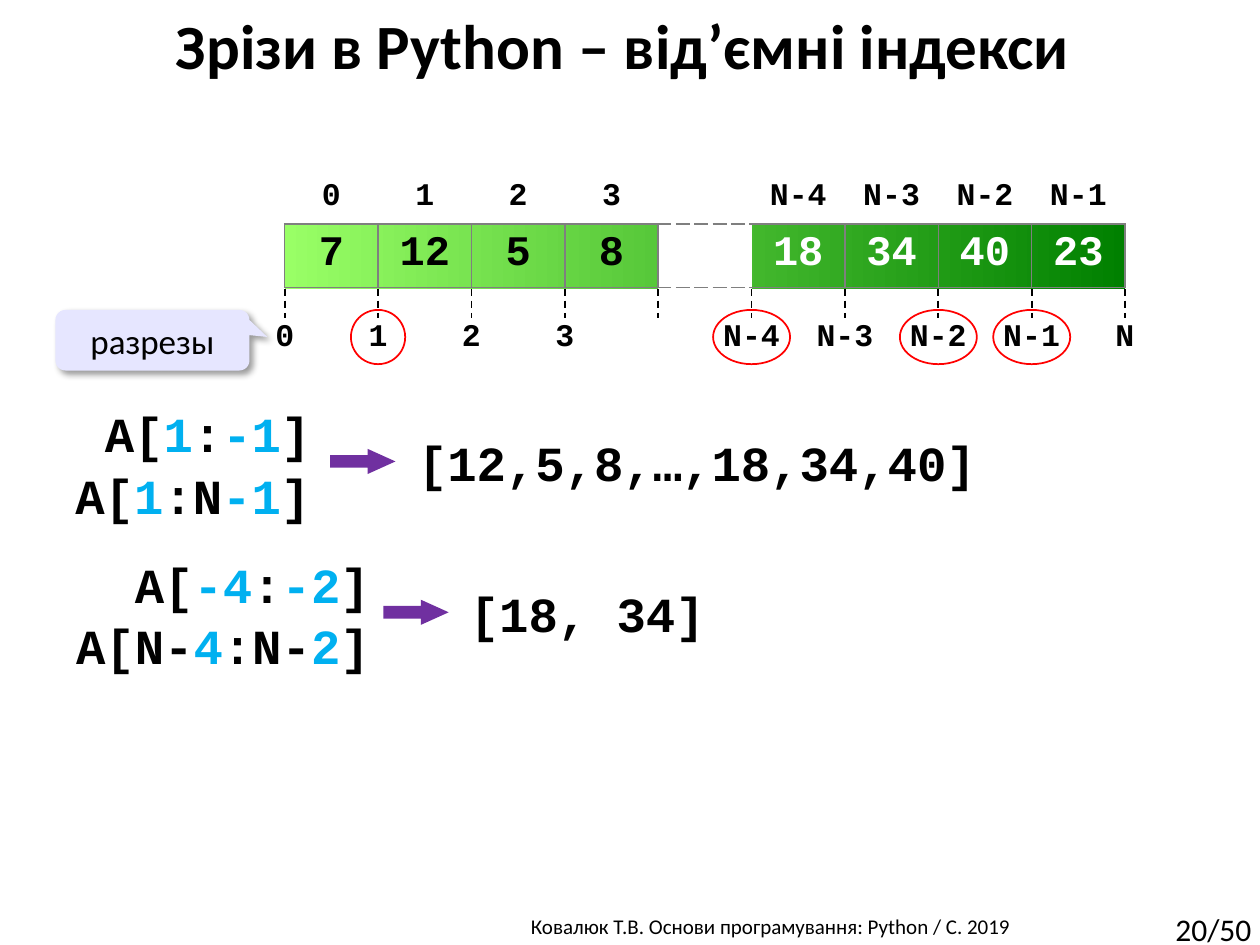
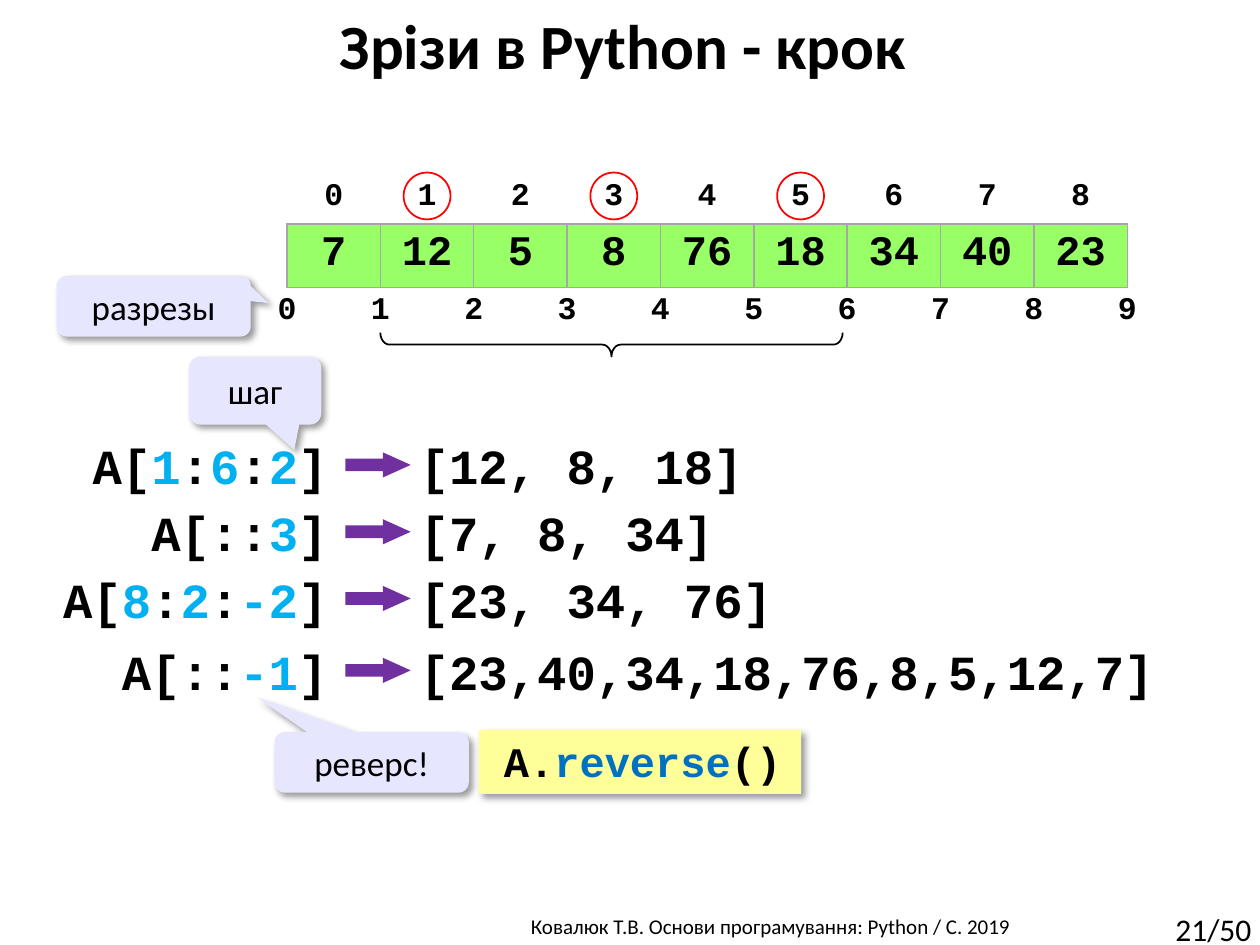
from lxml import etree
from pptx import Presentation
from pptx.dml.color import RGBColor
from pptx.enum.dml import MSO_LINE
from pptx.enum.shapes import MSO_CONNECTOR, MSO_SHAPE
from pptx.enum.text import MSO_ANCHOR, PP_ALIGN
from pptx.oxml.ns import qn
from pptx.util import Pt

BLACK, WHITE, RED = "000000", "FFFFFF", "FF0000"
BLUE, DEEP_BLUE, PURPLE = "00B0F0", "0070C0", "7030A0"
LIME, GREEN, LILAC, YELLOW = "99FF66", "008000", "E6E6FF", "FFFF99"
SANS, MONO = "Calibri", "Courier New"
NO_TABLE_STYLE = "{2D5ABB26-0587-4C30-8999-92F81FD0307C}"
CELL, INDEX_HEIGHT, VALUE_HEIGHT = 53.36, 29.4, 36.3
CHARACTER, INSET = 16.8, 7.2
FOOTER = "Ковалюк Т.В. Основи програмування: Python / C. 2019"


def color(value):
    """Turn a hex string into a colour."""
    return RGBColor.from_string(value)


def write(frame, text, size, font=SANS, bold=False, align=PP_ALIGN.LEFT,
          ink=BLACK, accent=BLUE):
    """Write one paragraph; parts between asterisks take the accent colour."""
    paragraph = frame.paragraphs[0]
    paragraph.alignment = align
    for number, part in enumerate(text.split("*")):
        if part:
            run = paragraph.add_run()
            run.text = part
            run.font.name, run.font.size, run.font.bold = font, Pt(size), bold
            run.font.color.rgb = color(accent if number % 2 else ink)


def add_text(slide, box, text, size, wrap=True, **style):
    """Add a text box."""
    shape = slide.shapes.add_textbox(*map(Pt, box))
    shape.text_frame.word_wrap = wrap
    write(shape.text_frame, text, size, **style)


def add_shape(slide, kind, box, fill=None, line=None, adjustments=()):
    """Add a preset shape without a shadow."""
    shape = slide.shapes.add_shape(kind, *map(Pt, box))
    shape.shadow.inherit = False
    if fill:
        shape.fill.solid()
        shape.fill.fore_color.rgb = color(fill)
    else:
        shape.fill.background()
    if line:
        shape.line.color.rgb = color(line)
        shape.line.width = Pt(1)
    else:
        shape.line.fill.background()
    for number, value in enumerate(adjustments):
        shape.adjustments[number] = value
    return shape


def cast_shadow(shape):
    """Give a shape a soft shadow to the lower right."""
    effects = shape.element.spPr.find(qn("a:effectLst"))
    shadow = etree.SubElement(effects, qn("a:outerShdw"), blurRad=str(Pt(4)),
                              dist=str(Pt(3)), dir="2700000", algn="tl", rotWithShape="0")
    tint = etree.SubElement(shadow, qn("a:srgbClr"), val=BLACK)
    etree.SubElement(tint, qn("a:alpha"), val="40000")


def add_callout(slide, box, text, tip):
    """Add a lilac speech bubble whose tip lies at the given offset."""
    shape = add_shape(slide, MSO_SHAPE.ROUNDED_RECTANGULAR_CALLOUT, box, LILAC,
                      adjustments=(*tip, 0.167))
    cast_shadow(shape)
    shape.text_frame.word_wrap = True
    shape.text_frame.vertical_anchor = MSO_ANCHOR.MIDDLE
    write(shape.text_frame, text, 20, align=PP_ALIGN.CENTER)


def add_rings(slide, centers, middle, width, height):
    """Circle the items that lie on one line."""
    for center in centers:
        box = (center - width / 2, middle - height / 2, width, height)
        add_shape(slide, MSO_SHAPE.OVAL, box, line=RED)


def set_borders(cell, sides, tint, dash="solid"):
    """Draw the named sides of a cell."""
    properties = cell._tc.get_or_add_tcPr()
    for side in sides:
        line = etree.SubElement(properties, qn("a:ln" + side), w=str(Pt(1)))
        fill = etree.SubElement(line, qn("a:solidFill"))
        etree.SubElement(fill, qn("a:srgbClr"), val=tint)
        etree.SubElement(line, qn("a:prstDash"), val=dash)


def add_table(slide, left, top, heights, columns):
    """Add a plain table of equal columns."""
    frame = slide.shapes.add_table(len(heights), columns, Pt(left), Pt(top),
                                   Pt(CELL * columns), Pt(sum(heights)))
    frame.element.find(".//" + qn("a:tableStyleId")).text = NO_TABLE_STYLE
    table = frame.table
    table.first_row = table.horz_banding = False
    for column in table.columns:
        column.width = Pt(CELL)
    for row, height in zip(table.rows, heights):
        row.height = Pt(height)
    return table


def fill_cell(cell, text, size, ink=BLACK, fill=None):
    """Write centred code text in a cell and set its fill."""
    if fill:
        cell.fill.solid()
        cell.fill.fore_color.rgb = color(fill)
    else:
        cell.fill.background()
    if text:
        write(cell.text_frame, text, size, MONO, True, PP_ALIGN.CENTER, ink)


def add_array(slide, left, top, indexes, values, tint, fill=None, light_from=9):
    """Add an array with indexes above; an empty value is a dashed gap."""
    table = add_table(slide, left, top, (INDEX_HEIGHT, VALUE_HEIGHT), len(values))
    for column, (index, value) in enumerate(zip(indexes, values)):
        above, cell = table.cell(0, column), table.cell(1, column)
        dash = "solid" if value else "sysDash"
        sides = ["T", "B"]
        if value and "" not in values[column + 1:column + 2]:
            sides.insert(0, "R")
        if value and (column == 0 or values[column - 1]):
            sides.insert(0, "L")
        set_borders(above, "B", tint, dash)
        set_borders(cell, sides, tint, dash)
        fill_cell(above, index, 18)
        fill_cell(cell, value, 24, WHITE if column >= light_from else BLACK, fill)


def add_cuts(slide, left, top, labels):
    """Label the cuts between cells, each centred on a cell edge."""
    table = add_table(slide, left - CELL / 2, top, (INDEX_HEIGHT,), len(labels))
    for column, label in enumerate(labels):
        fill_cell(table.cell(0, column), label, 18)


def add_ticks(slide, left, top, count):
    """Drop a dashed tick from every cell edge."""
    for number in range(count):
        x = Pt(left + number * CELL)
        tick = slide.shapes.add_connector(MSO_CONNECTOR.STRAIGHT, x, Pt(top), x, Pt(top + 17))
        tick.line.color.rgb = color(BLACK)
        tick.line.width = Pt(1)
        tick.line.dash_style = MSO_LINE.DASH
        etree.SubElement(tick.element.spPr, qn("a:effectLst"))


def add_code(slide, left, top, text):
    """Add a line of code whose first letter starts at left."""
    width = CHARACTER * len(text.replace("*", "")) + 2 * INSET
    add_text(slide, (left - INSET, top, width, 41), text, 28, wrap=False, font=MONO, bold=True)


def add_expression(slide, right, top, text):
    """Add a line of code that ends at right."""
    add_code(slide, right - CHARACTER * len(text.replace("*", "")), top, text)


def add_result(slide, arrow_left, left, top, text):
    """Add an arrow and the list it leads to."""
    add_shape(slide, MSO_SHAPE.RIGHT_ARROW, (arrow_left, top + 13, 37.4, 14.4), PURPLE,
              adjustments=(0.5, 1.105))
    add_code(slide, left, top, text)


def add_frame(presentation, title, page):
    """Add a slide with its title, footer and page number."""
    slide = presentation.slides.add_slide(presentation.slide_layouts[6])
    add_text(slide, (0, 0, 712, 51), title, 36, bold=True, align=PP_ALIGN.CENTER)
    add_text(slide, (236.9, 518.4, 407, 21.6), FOOTER, 12, align=PP_ALIGN.CENTER)
    add_text(slide, (664.6, 516.2, 61, 29), page, 18, wrap=False)
    return slide


def add_negative_slide(presentation):
    """Build the slide on negative indexes."""
    slide = add_frame(presentation, "Зрізи в Python – від’ємні індекси", "20/50")
    left, top = 162.7, 98.6
    values_top = top + INDEX_HEIGHT
    band = add_shape(slide, MSO_SHAPE.RECTANGLE,
                     (left, values_top + 0.6, 9 * CELL, VALUE_HEIGHT), GREEN)
    band.fill.gradient()
    band.fill.gradient_angle = 180
    for stop, tint in zip(band.fill.gradient_stops, (GREEN, LIME)):
        stop.color.rgb = color(tint)
    add_shape(slide, MSO_SHAPE.FLOWCHART_PROCESS,
              (left + 4 * CELL, values_top + 0.6, CELL, VALUE_HEIGHT), WHITE)
    indexes = ["0", "1", "2", "3", "", "N-4", "N-3", "N-2", "N-1"]
    add_array(slide, left, top, indexes,
              ["7", "12", "5", "8", "", "18", "34", "40", "23"], "7F7F7F", light_from=5)
    add_ticks(slide, left, values_top + VALUE_HEIGHT + 0.6, 10)
    add_cuts(slide, left, 179.3, indexes + ["N"])
    add_rings(slide, [left + CELL], 192.6, 31, 31)
    add_rings(slide, [left + edge * CELL for edge in (5, 7, 8)], 192.6, 44, 31)
    add_callout(slide, (31.7, 177.1, 110.9, 34.6), "разрезы", (0.592, -0.054))
    for right, start, arrow, result_left, pair, result in (
            (177.6, 227, 188.6, 239, ("A[*1*:*-1*]", "A[*1*:N*-1*]"), "[12,5,8,…,18,34,40]"),
            (211.6, 313.2, 219, 268.6, ("A[*-4*:*-2*]", "A[N-*4*:N-*2*]"), "[18, 34]")):
        for number, text in enumerate(pair):
            add_expression(slide, right, start + 35.2 * number, text)
        add_result(slide, arrow, result_left, start + 16.5, result)


def add_step_slide(presentation):
    """Build the slide on the step of a slice."""
    slide = add_frame(presentation, "Зрізи в Python - крок", "21/50")
    left, top = 164, 98.6
    add_array(slide, left, top, [str(index) for index in range(9)],
              ["7", "12", "5", "8", "76", "18", "34", "40", "23"], "A6A6A6", LIME)
    add_cuts(slide, left, 164.2, [str(cut) for cut in range(10)])
    add_rings(slide, [left + (cell + 0.5) * CELL for cell in (1, 3, 5)], 112, 26.8, 26.8)
    length, depth = 264.2, 13.7
    brace = add_shape(slide, MSO_SHAPE.LEFT_BRACE,
                      (left + CELL + (length - depth) / 2, 196.9 - length / 2, depth, length),
                      line=BLACK, adjustments=(0.379, 0.5))
    brace.rotation = 270
    for start, text, result in ((245.5, "A[*1*:*6*:*2*]", "[12, 8, 18]"),
                                (283.7, "A[::*3*]", "[7, 8, 34]"),
                                (321.8, "A[*8*:*2*:*-2*]", "[23, 34, 76]"),
                                (362.9, "A[::*-1*]", "[23,40,34,18,76,8,5,12,7]")):
        add_expression(slide, 187.4, start, text)
        add_result(slide, 197.3, 240, start, result)
    add_callout(slide, (32.4, 157.7, 110.9, 34.6), "разрезы", (0.592, -0.054))
    add_callout(slide, (108, 203.8, 75.6, 38.9), "шаг", (0.296, 0.873))
    add_callout(slide, (157, 418.3, 110.9, 34.6), "реверс!", (-0.59, -1.072))
    method = add_shape(slide, MSO_SHAPE.RECTANGLE, (273.6, 416.9, 184.3, 36.7), YELLOW)
    cast_shadow(method)
    method.text_frame.margin_left = Pt(2 * INSET)
    method.text_frame.vertical_anchor = MSO_ANCHOR.TOP
    write(method.text_frame, "A.*reverse*()", 24, MONO, True, PP_ALIGN.JUSTIFY,
          accent=DEEP_BLUE)


def main():
    """Build and save the presentation."""
    presentation = Presentation()
    presentation.slide_width, presentation.slide_height = Pt(720), Pt(540)
    add_negative_slide(presentation)
    add_step_slide(presentation)
    presentation.save("out.pptx")


main()
